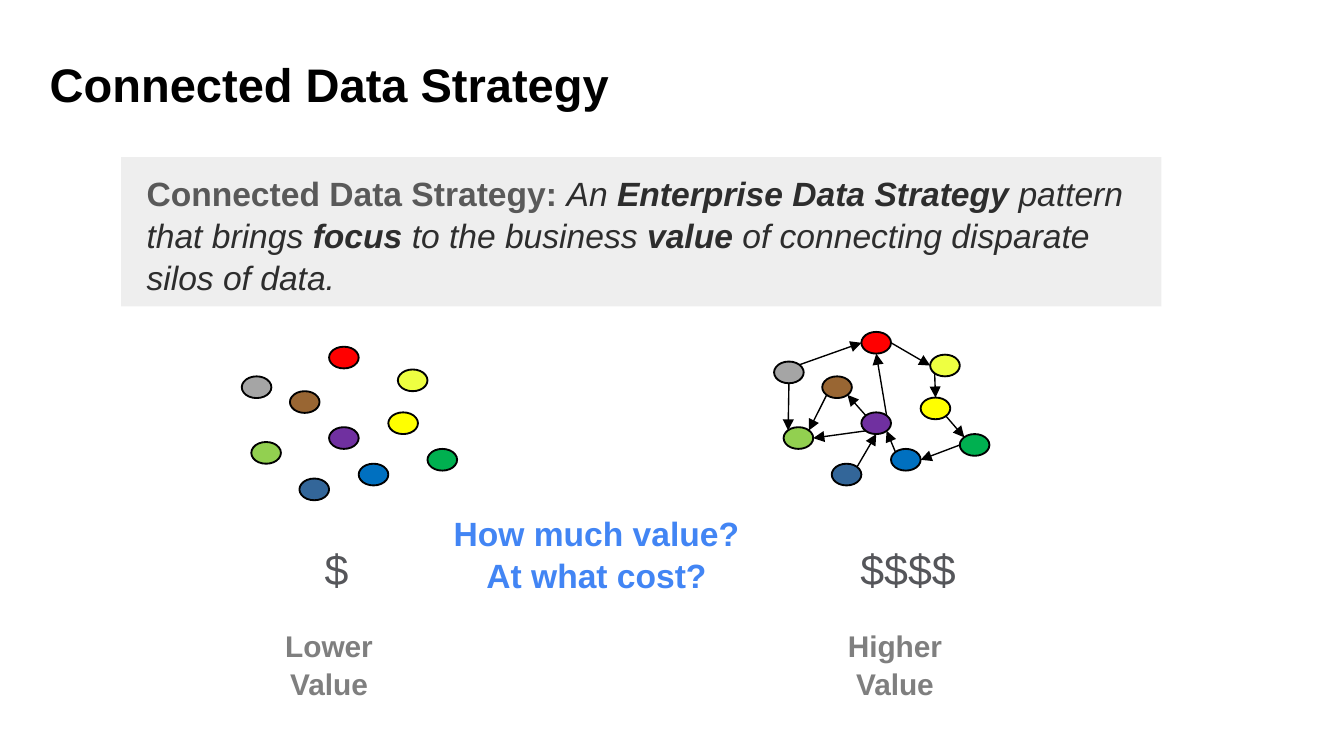
from pptx import Presentation
from pptx.dml.color import RGBColor
from pptx.enum.shapes import MSO_CONNECTOR, MSO_SHAPE
from pptx.enum.text import MSO_ANCHOR, MSO_AUTO_SIZE, PP_ALIGN
from pptx.oxml.ns import qn
from pptx.util import Cm, Pt

LEFT, CENTER = PP_ALIGN.LEFT, PP_ALIGN.CENTER
TOP, NO_FIT = MSO_ANCHOR.TOP, MSO_AUTO_SIZE.NONE
OVAL, STRAIGHT = MSO_SHAPE.OVAL, MSO_CONNECTOR.STRAIGHT
FONT = "Arial"
NODE_W, NODE_H = 0.56, 0.41

# Node name: offset in the cluster (cm) and fill
NODES = {
    "red": (1.65, 0, "FF0000"),
    "brown": (0.91, 0.84, "996633"),
    "purple": (1.65, 1.52, "7030A0"),
    "lemon": (2.95, 0.43, "EEFF41"),
    "yellow": (2.77, 1.24, "FFFF00"),
    "lime": (0.18, 1.8, "92D050"),
    "blue": (2.21, 2.21, "0070C0"),
    "gray": (0, 0.56, "A5A5A5"),
    "green": (3.51, 1.93, "00B050"),
    "steel": (1.09, 2.49, "336699"),
}

# Start node and side, end node and side
LINKS = [
    ("gray", "NE", "red", "W"),
    ("red", "E", "lemon", "W"),
    ("lemon", "SW", "yellow", "N"),
    ("yellow", "SE", "green", "NW"),
    ("green", "W", "blue", "E"),
    ("blue", "NW", "purple", "SE"),
    ("purple", "NW", "brown", "SE"),
    ("brown", "SW", "lime", "NE"),
    ("gray", "S", "lime", "NW"),
    ("purple", "NE", "red", "S"),
    ("purple", "SW", "lime", "E"),
    ("steel", "NE", "purple", "S"),
]


def color(value):
    return RGBColor.from_string(value)


def place(sp, x, y, w, h):
    sp.left, sp.top, sp.width, sp.height = Cm(x), Cm(y), Cm(w), Cm(h)


def setup_frame(tf, inset_x, inset_y):
    tf.word_wrap = True
    tf.auto_size = NO_FIT
    tf.vertical_anchor = TOP
    tf.margin_left = tf.margin_right = Cm(inset_x)
    tf.margin_top = tf.margin_bottom = Cm(inset_y)


def add_text(p, text, size=18, fill="000000", bold=False, italic=False,
             align=LEFT, spacing=1.05):
    p.alignment = align
    p.line_spacing = spacing
    p.space_before = Pt(0)
    r = p.add_run()
    r.text = text
    r.font.name, r.font.size = FONT, Pt(size)
    r.font.bold, r.font.italic = bold, italic
    r.font.color.rgb = color(fill)


def add_label(s, lines, x, y, w, h, **fmt):
    tf = s.shapes.add_textbox(Cm(x), Cm(y), Cm(w), Cm(h)).text_frame
    setup_frame(tf, 0.18, 0.1)
    for i, line in enumerate(lines):
        p = tf.add_paragraph() if i else tf.paragraphs[0]
        add_text(p, line, align=CENTER, **fmt)


def add_nodes(s, x, y):
    for dx, dy, fill in NODES.values():
        sp = s.shapes.add_shape(OVAL, Cm(x + dx), Cm(y + dy), Cm(NODE_W), Cm(NODE_H))
        sp.shadow.inherit = False
        sp.fill.solid()
        sp.fill.fore_color.rgb = color(fill)
        sp.line.color.rgb = color("000000")
        sp.line.width = Pt(1)


def side_point(x, y, node, side):
    """Point on a node's edge in a compass direction."""
    dx, dy, _ = NODES[node]
    reach = 0.5 if len(side) == 1 else 0.35
    east = ("E" in side) - ("W" in side)
    south = ("S" in side) - ("N" in side)
    return (Cm(x + dx + NODE_W * (0.5 + reach * east)),
            Cm(y + dy + NODE_H * (0.5 + reach * south)))


def add_links(s, x, y):
    for start, start_side, end, end_side in LINKS:
        c = s.shapes.add_connector(STRAIGHT, *side_point(x, y, start, start_side),
                                   *side_point(x, y, end, end_side))
        c.line.color.rgb = color("000000")
        c.line.width = Pt(0.75)
        ln = c.line._get_or_add_ln()
        ln.append(ln.makeelement(qn("a:tailEnd"), {"type": "triangle"}))
        spPr = c._element.spPr
        spPr.append(spPr.makeelement(qn("a:effectLst"), {}))


def add_title(s):
    sp = s.shapes.title
    place(sp, 0.94, 1.17, 20.02, 0.91)
    setup_frame(sp.text_frame, 0, 0)
    add_text(sp.text_frame.paragraphs[0], "Connected Data Strategy",
             size=25.2, bold=True, spacing=0.9)


def add_definition(s):
    sp = s.placeholders[1]
    place(sp, 2.29, 2.97, 19.66, 2.82)
    sp.fill.solid()
    sp.fill.fore_color.rgb = color("EEEEEE")
    setup_frame(sp.text_frame, 0.48, 0.25)
    p = sp.text_frame.paragraphs[0]
    pPr = p._p.get_or_add_pPr()
    pPr.set("marL", "0")
    pPr.set("indent", "0")
    pPr.append(pPr.makeelement(qn("a:buNone"), {}))
    p.space_after = Pt(12)
    add_text(p, "Connected Data Strategy: ", fill="595959", bold=True)
    for text, bold in [
        ("An ", False),
        ("Enterprise Data Strategy ", True),
        ("pattern that brings ", False),
        ("focus", True),
        (" to the business ", False),
        ("value", True),
        (" of connecting disparate silos of data.", False),
    ]:
        add_text(p, text, fill="2D2D2D", bold=bold, italic=True)


def main():
    prs = Presentation()
    prs.slide_width, prs.slide_height = Cm(25.4), Cm(14.28)
    s = prs.slides.add_slide(prs.slide_layouts[1])
    add_title(s)
    add_definition(s)

    # Separate data on the left, connected data on the right
    add_nodes(s, 4.57, 6.55)
    add_nodes(s, 14.63, 6.27)
    add_links(s, 14.63, 6.27)

    # Cost and value labels
    cost = {"size": 23, "fill": "55565A"}
    value = {"size": 16, "fill": "7F7F7F", "bold": True}
    add_label(s, ["$"], 5.94, 10.11, 0.84, 1.17, **cost)
    add_label(s, ["$$$$"], 15.82, 10.11, 2.69, 1.17, **cost)
    add_label(s, ["Lower Value"], 4.8, 11.73, 2.84, 1.55, **value)
    add_label(s, ["Higher Value"], 15.44, 11.73, 2.95, 1.55, **value)
    add_label(s, ["How much value?", "At what cost?"], 8.33, 9.55, 5.89, 1.73,
              fill="4285F4", bold=True)

    prs.save("out.pptx")


if __name__ == "__main__":
    main()
